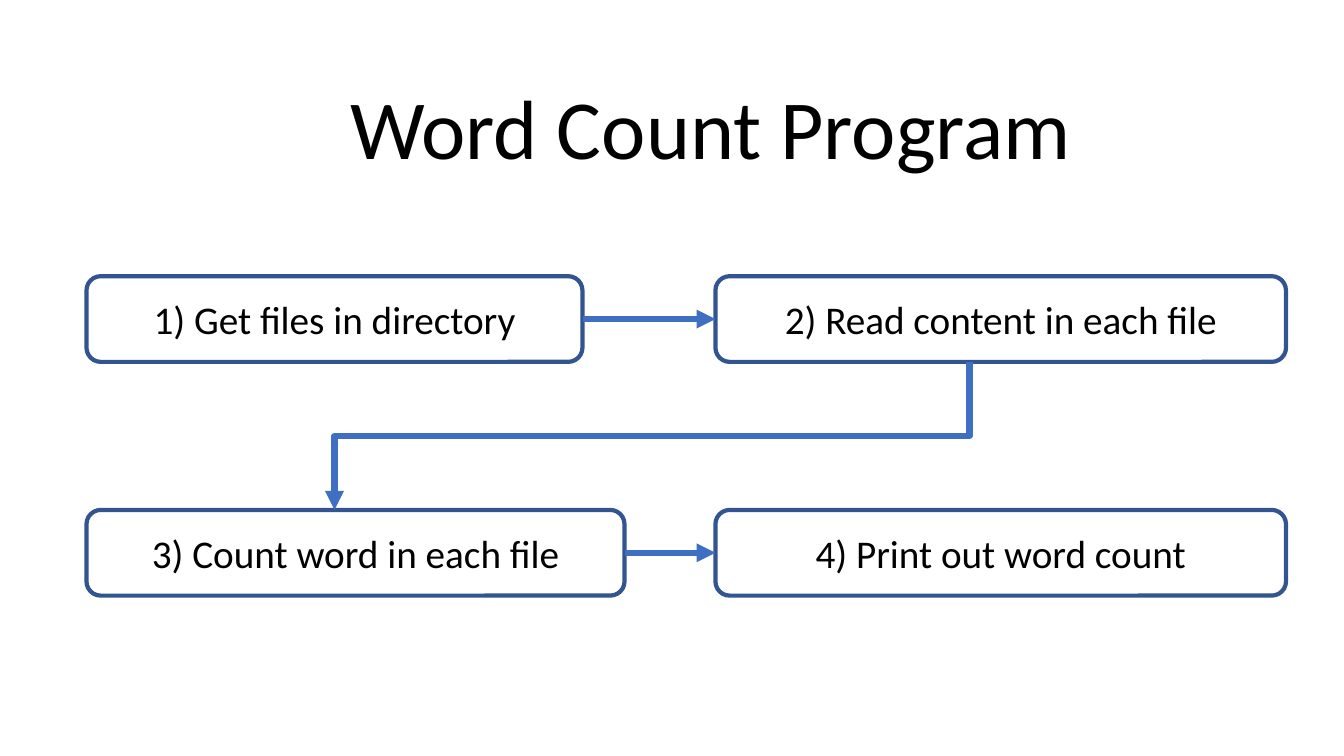
"""Build the word count flow slide."""
import pptx
import pptx.dml.color
import pptx.enum.shapes
import pptx.enum.text
import pptx.oxml
import pptx.oxml.ns
import pptx.util

Cm = pptx.util.Cm
Pt = pptx.util.Pt
KIND = pptx.enum.shapes.MSO_CONNECTOR
HUES = {"text": "000000", "edge": "325491", "arrow": "3F6FC3"}
LEFT, RIGHT = 2.18, 18.03
HIGH = 2.16
ROWS = (6.96, 12.85)
STEPS = (
    ("1) Get files in directory", LEFT, ROWS[0], 12.5),
    ("2) Read content in each file", RIGHT, ROWS[0], 14.38),
    ("3) Count word in each file", LEFT, ROWS[1], 13.56),
    ("4) Print out word count", RIGHT, ROWS[1], 14.38),
)


def hue(name):
    return pptx.dml.color.RGBColor.from_string(HUES[name])


def write(frame, text, size=28, color="text", anchor="MIDDLE"):
    frame.word_wrap = True
    frame.vertical_anchor = getattr(pptx.enum.text.MSO_ANCHOR, anchor)
    line = frame.paragraphs[0]
    line.alignment = pptx.enum.text.PP_ALIGN.CENTER
    run = line.add_run()
    run.text = text
    run.font.name = "Calibri"
    run.font.size = Pt(size)
    run.font.color.rgb = hue(color)


def add_step(slide, text, left, top, width):
    kind = pptx.enum.shapes.MSO_SHAPE.ROUNDED_RECTANGLE
    box = slide.shapes.add_shape(kind, Cm(left), Cm(top), Cm(width), Cm(HIGH))
    box.shadow.inherit = False
    box.fill.background()
    box.line.color.rgb = hue("edge")
    box.line.width = Pt(3)
    write(box.text_frame, text)
    return box


def add_title(slide, text):
    box = slide.shapes.add_textbox(Cm(3.81), Cm(1.78), Cm(28.19), Cm(2.79))
    write(box.text_frame, text, size=60, anchor="TOP")


def add_arrow(slide, kind, *ends):
    link = slide.shapes.add_connector(kind, *(Cm(end) for end in ends))
    link.line.color.rgb = hue("arrow")
    link.line.width = Pt(4.5)
    tail = pptx.oxml.parse_xml(
        f'<a:tailEnd {pptx.oxml.ns.nsdecls("a")} type="triangle"/>')
    link.line._get_or_add_ln().append(tail)
    plain = pptx.oxml.parse_xml(
        f'<a:effectLst {pptx.oxml.ns.nsdecls("a")}/>')
    link._element.spPr.append(plain)
    return link


def join(slide, first, second):
    link = add_arrow(slide, KIND.STRAIGHT, 0, 0, 1, 0)
    link.begin_connect(first, 3)
    link.end_connect(second, 1)


def add_bend(slide, x1, y1, x2, y2):
    midx, midy = (x1 + x2) / 2, (y1 + y2) / 2
    dx, dy = (y2 - y1) / 2, (x1 - x2) / 2
    link = add_arrow(slide, KIND.ELBOW,
                     midx - dx, midy - dy, midx + dx, midy + dy)
    link._element.spPr.find(pptx.oxml.ns.qn("a:xfrm")).set("rot", "5400000")


def main():
    deck = pptx.Presentation()
    deck.slide_width, deck.slide_height = Cm(33.87), Cm(19.05)
    slide = deck.slides.add_slide(deck.slide_layouts[6])
    boxes = [add_step(slide, *step) for step in STEPS]
    add_title(slide, "Word Count Program")
    for first, second in zip(boxes[::2], boxes[1::2]):
        join(slide, first, second)
    add_bend(slide, 24.43, ROWS[0] + HIGH, 8.43, ROWS[1])
    deck.save("out.pptx")


if __name__ == "__main__":
    main()
